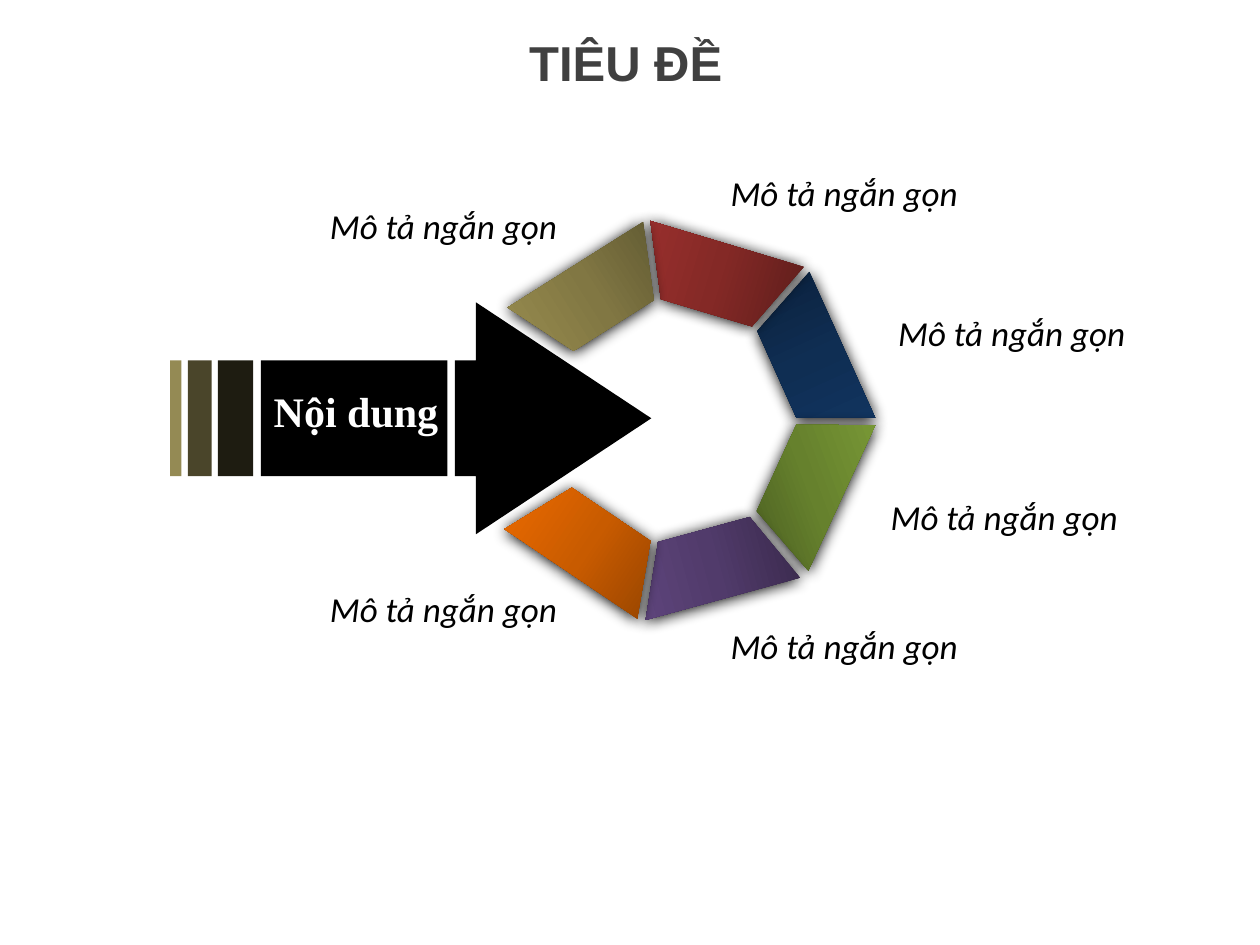
import math
from dataclasses import dataclass

from lxml import etree
from pptx import Presentation
from pptx.dml.color import RGBColor
from pptx.enum.shapes import MSO_SHAPE
from pptx.enum.text import MSO_ANCHOR, MSO_AUTO_SIZE, PP_ALIGN
from pptx.oxml import parse_xml
from pptx.oxml.ns import nsdecls
from pptx.util import Inches, Pt

LEFT, CENTER, RIGHT = PP_ALIGN.LEFT, PP_ALIGN.CENTER, PP_ALIGN.RIGHT
RECTANGLE, ARROW, TRAPEZOID = MSO_SHAPE.RECTANGLE, MSO_SHAPE.RIGHT_ARROW, MSO_SHAPE.TRAPEZOID
TOP = MSO_ANCHOR.TOP
FIT_SHAPE = MSO_AUTO_SIZE.SHAPE_TO_FIT_TEXT


@dataclass(frozen=True)
class Theme:
    black: str = "000000"
    bars: tuple = ("948A54", "4A452A", "1E1C11", "000000")
    title: tuple = (("name", "Arial"), ("size", Pt(28)), ("bold", True), ("color", "404040"))
    content: tuple = (("name", "Times New Roman"), ("size", Pt(24)), ("bold", True), ("color", "FFFFFF"))
    label: tuple = (("name", "Calibri"), ("size", Pt(20)), ("italic", True), ("color", "000000"))


# rotation, gradient from dark to light, gradient angle, flips
SEGMENTS = [
    (65.7, ("0B203B", "0F2E53", "123663"), 0, ["flipV"]),
    (114.7, ("485B20", "66812D", "799936"), 135, ["flipV"]),
    (164.7, ("39294B", "513B6B", "60467E"), 0, ["flipV"]),
    (214, ("8D4000", "C85B00", "EE6B00"), 0, ["flipV"]),
    (16.7, ("5D1D1B", "842926", "9C302E"), 0, ["flipH", "flipV"]),
    (327.7, ("5A542F", "817743", "998D4F"), 0, ["flipH", "flipV"]),
]
RING_CENTER = (5.35, 3.34)
RING_RADIUS = 1.18
SEGMENT_SIZE = (1.27, 0.57)

BAR_SPANS = [(1.35, 0.09), (1.49, 0.19), (1.73, 0.28), (2.07, 1.48)]
BAR_TOP, BAR_HEIGHT = 2.86, 0.92

LABEL = "Mô tả ngắn gọn"
LABEL_PLACES = [(2.5, 1.57), (2.5, 4.61), (7.01, 2.42), (5.68, 4.91), (6.95, 3.88), (5.68, 1.31)]
LABEL_SIZE = (2.02, 0.44)


class SlideBuilder:
    def __init__(self, slide, theme):
        self.slide = slide
        self.theme = theme

    def fill_text(self, holder, text, style, align, wrap=False):
        frame = holder.text_frame
        settings = {"word_wrap": wrap, "auto_size": FIT_SHAPE, "vertical_anchor": TOP}
        for key, value in settings.items():
            setattr(frame, key, value)
        paragraph = frame.paragraphs[0]
        paragraph.alignment = align
        run = paragraph.add_run()
        run.text = text
        formats = dict(style)
        run.font.color.rgb = RGBColor.from_string(formats.pop("color"))
        for key, value in formats.items():
            setattr(run.font, key, value)

    def title(self, text, box):
        title = self.slide.shapes.title
        for key, value in zip(("left", "top", "width", "height"), box):
            setattr(title, key, Inches(value))
        self.fill_text(title, text, self.theme.title, LEFT)

    def text(self, text, box, style, align, wrap=False):
        textbox = self.slide.shapes.add_textbox(*map(Inches, box))
        self.fill_text(textbox, text, style, align, wrap)

    def solid(self, kind, box, color, adjustments=()):
        shape = self.slide.shapes.add_shape(kind, *map(Inches, box))
        shape.shadow.inherit = False
        shape.fill.solid()
        shape.fill.fore_color.rgb = RGBColor.from_string(color)
        shape.line.fill.background()
        for index, value in enumerate(adjustments):
            shape.adjustments[index] = value

    def ring(self, segments):
        """Group the trapezoids, each with its long side facing outward."""
        group = self.slide.shapes.add_group_shape()
        width, height = SEGMENT_SIZE
        for rotation, colors, angle, flips in segments:
            turn = math.radians(rotation)
            left = RING_CENTER[0] + RING_RADIUS * math.sin(turn) - width / 2
            top = RING_CENTER[1] - RING_RADIUS * math.cos(turn) - height / 2
            segment = group.shapes.add_shape(TRAPEZOID, *map(Inches, (left, top, width, height)))
            segment.adjustments[0] = 0.453
            segment.rotation = rotation
            segment.line.fill.background()
            for flip in flips:
                segment._element.spPr.xfrm.set(flip, "1")
            self.shade(segment, colors, angle)

    def shade(self, shape, colors, angle):
        """Give a shape a three-stop gradient and a soft drop shadow."""
        gradient = parse_xml(f'<a:gradFill {nsdecls("a")} rotWithShape="1"><a:gsLst/></a:gradFill>')
        for position, color in zip((0, 50000, 100000), colors):
            gradient[0].append(parse_xml(
                f'<a:gs {nsdecls("a")} pos="{position}"><a:srgbClr val="{color}"/></a:gs>'))
        gradient.append(parse_xml(f'<a:lin {nsdecls("a")} ang="{angle * 60000}" scaled="1"/>'))
        properties = shape._element.spPr
        properties.insert(2, gradient)
        effects = etree.SubElement(properties, gradient.tag.replace("gradFill", "effectLst"))
        effects.append(parse_xml(
            f'<a:outerShdw {nsdecls("a")} blurRad="{Pt(8.5)}" dist="{Pt(1)}" dir="5400000" '
            f'algn="ctr" rotWithShape="0"><a:srgbClr val="{self.theme.black}"/></a:outerShdw>'))


def main():
    theme = Theme()
    deck = Presentation()
    deck.slide_width, deck.slide_height = Inches(10), Inches(7.5)
    builder = SlideBuilder(deck.slides.add_slide(deck.slide_layouts[5]), theme)

    builder.title("TIÊU ĐỀ", (4.1, 0.21, 1.75, 0.57))
    builder.ring(SEGMENTS)
    builder.solid(ARROW, (3.61, 2.4, 1.56, 1.84), theme.black, (0.5, 0.892))
    for (left, width), color in zip(BAR_SPANS, theme.bars):
        builder.solid(RECTANGLE, (left, BAR_TOP, width, BAR_HEIGHT), color)
    builder.text("Nội dung", (1.9, 3.01, 1.85, 0.51), theme.content, CENTER, wrap=True)
    for place in LABEL_PLACES:
        builder.text(LABEL, place + LABEL_SIZE, theme.label, RIGHT)

    deck.save("out.pptx")


if __name__ == "__main__":
    main()
